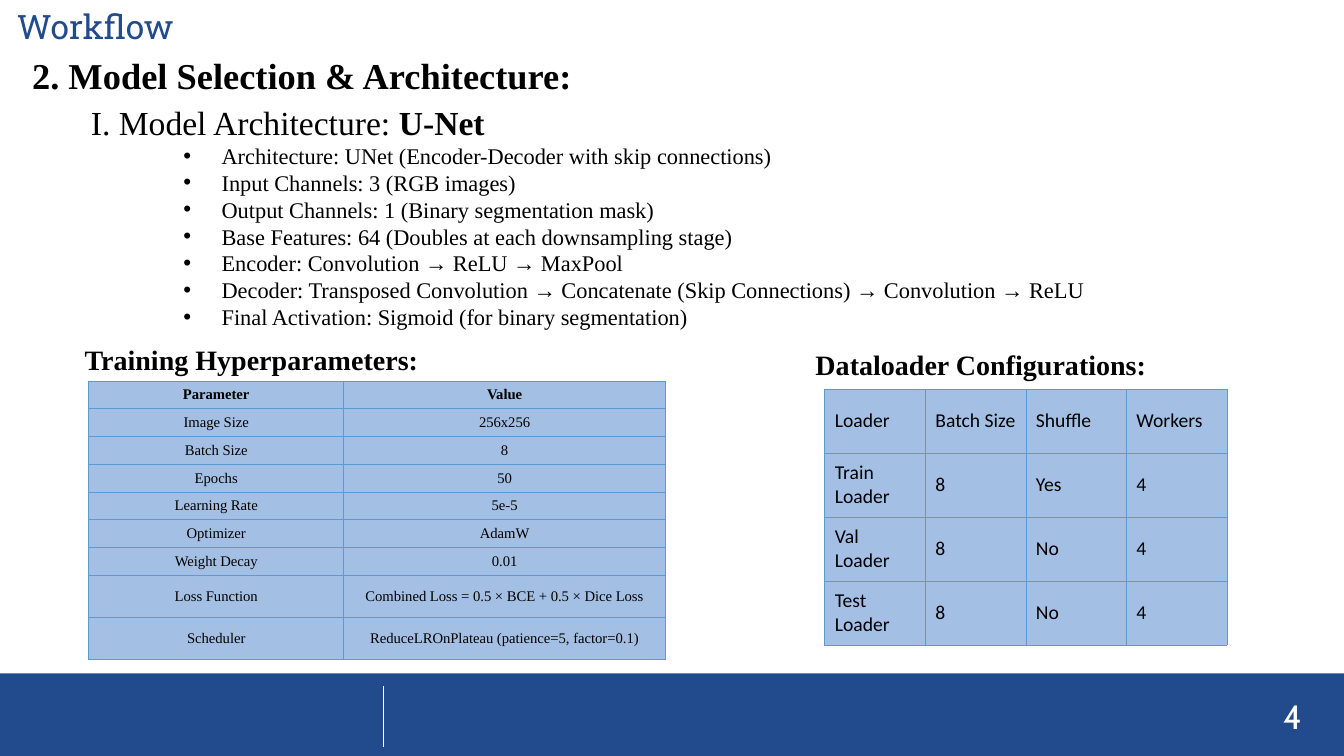
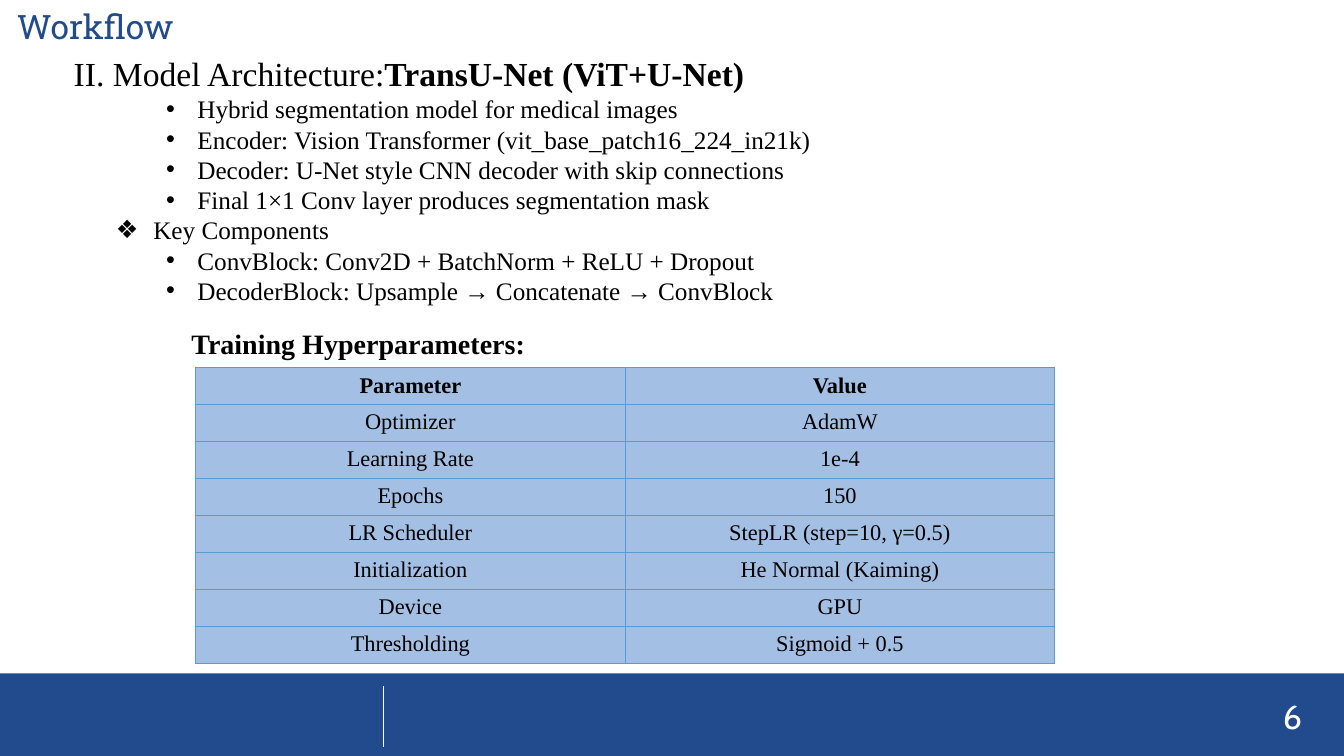
"""Build two workflow slides on model architecture and training settings."""
from lxml.etree import SubElement
from pptx import Presentation
from pptx.dml.color import RGBColor
from pptx.enum.shapes import MSO_CONNECTOR, MSO_SHAPE
from pptx.enum.text import MSO_ANCHOR, PP_ALIGN
from pptx.oxml.ns import qn
from pptx.util import Inches, Pt

HUES = {"band": "214B8C", "white": "FFFFFF", "ink": "000000",
        "cell": "A3C0E4", "rule": "5B9BD5"}
SERIF = "Times New Roman"
FONTS = {
    "title": {"name": "Roboto Slab", "size": 24, "hue": "band"},
    "page": {"name": "Cabin", "size": 24, "hue": "white"},
    "head": {"name": SERIF, "size": 26, "bold": True},
    "model": {"name": SERIF, "size": 24},
    "label": {"name": SERIF, "size": 20, "bold": True},
    "small": {"name": SERIF, "size": 16},
    "large": {"name": SERIF, "size": 18},
    "fine": {"name": SERIF, "size": 10.5},
    "plain": {"name": "Calibri", "size": 14},
}
DOT, GEM = "•", "❖"

SLIDES = [
    {
        "page": "4",
        "labels": [
            ("2. Model Selection & Architecture:", "head", (0.22, 0.48, 12.76, 0.54)),
            ("Training Hyperparameters:", "label", (0.74, 3.35, 3.8, 0.44)),
            ("Dataloader Configurations:", "label", (7.99, 3.4, 4.5, 0.44)),
        ],
        "model": {
            "box": (0.72, 0.96, 12.46, 2.39),
            "head": (" I. Model Architecture: ", "U-Net"),
            "font": "small",
            "marks": {DOT: (1.38, 0.38)},
            "points": [
                (DOT, "Architecture: UNet (Encoder-Decoder with skip connections)"),
                (DOT, "Input Channels: 3 (RGB images)"),
                (DOT, "Output Channels: 1 (Binary segmentation mask)"),
                (DOT, "Base Features: 64 (Doubles at each downsampling stage)"),
                (DOT, "Encoder: Convolution → ReLU → MaxPool"),
                (DOT, "Decoder: Transposed Convolution → Concatenate "
                      "(Skip Connections) → Convolution → ReLU"),
                (DOT, "Final Activation: Sigmoid (for binary segmentation)"),
            ],
        },
        "tables": [
            {
                "box": (0.88, 3.78, 5.72, 2.76), "cols": (2.53, 3.19),
                "tall": {7: 0.42, 8: 0.42},
                "font": "fine", "align": PP_ALIGN.CENTER, "bold": True,
                "rows": [
                    ("Parameter", "Value"),
                    ("Image Size", "256x256"),
                    ("Batch Size", "8"),
                    ("Epochs", "50"),
                    ("Learning Rate", "5e-5"),
                    ("Optimizer", "AdamW"),
                    ("Weight Decay", "0.01"),
                    ("Loss Function", "Combined Loss = 0.5 × BCE + 0.5 × Dice Loss"),
                    ("Scheduler", "ReduceLROnPlateau (patience=5, factor=0.1)"),
                ],
            },
            {
                "box": (8.18, 3.86, 3.99, 2.54), "cols": (1, 1, 1, 1), "tall": {},
                "font": "plain", "align": PP_ALIGN.LEFT, "bold": False,
                "rows": [
                    ("Loader", "Batch Size", "Shuffle", "Workers"),
                    ("Train Loader", "8", "Yes", "4"),
                    ("Val Loader", "8", "No", "4"),
                    ("Test Loader", "8", "No", "4"),
                ],
            },
        ],
    },
    {
        "page": "6",
        "labels": [("Training Hyperparameters:", "label", (1.8, 3.19, 3.8, 0.44))],
        "model": {
            "box": (0.55, 0.48, 12.46, 2.65),
            "head": (" II. Model Architecture:", "TransU-Net (ViT+U-Net)"),
            "font": "large",
            "marks": {DOT: (1.31, 0.31), GEM: (0.81, 0.31)},
            "points": [
                (DOT, "Hybrid segmentation model for medical images"),
                (DOT, "Encoder: Vision Transformer (vit_base_patch16_224_in21k)"),
                (DOT, "Decoder: U-Net style CNN decoder with skip connections"),
                (DOT, "Final 1×1 Conv layer produces segmentation mask"),
                (GEM, " Key Components"),
                (DOT, "ConvBlock: Conv2D + BatchNorm + ReLU + Dropout"),
                (DOT, "DecoderBlock: Upsample → Concatenate → ConvBlock"),
            ],
        },
        "tables": [
            {
                "box": (1.94, 3.64, 8.52, 2.93), "cols": (1, 1), "tall": {},
                "font": "small", "align": PP_ALIGN.CENTER, "bold": True,
                "rows": [
                    ("Parameter", "Value"),
                    ("Optimizer", "AdamW"),
                    ("Learning Rate", "1e-4"),
                    ("Epochs", "150"),
                    ("LR Scheduler", "StepLR (step=10, γ=0.5)"),
                    ("Initialization", "He Normal (Kaiming)"),
                    ("Device", "GPU"),
                    ("Thresholding", "Sigmoid + 0.5"),
                ],
            },
        ],
    },
]


def tint(hue):
    return RGBColor.from_string(HUES[hue])


def place(box):
    return [Inches(side) for side in box]


def write(para, text, font, **extra):
    run = para.add_run()
    run.text = text
    form = {"bold": False, "hue": "ink", **FONTS[font], **extra}
    run.font.color.rgb = tint(form.pop("hue"))
    form["size"] = Pt(form["size"])
    for key, value in form.items():
        setattr(run.font, key, value)


def add_box(slide, box, anchor=MSO_ANCHOR.TOP):
    frame = slide.shapes.add_textbox(*place(box)).text_frame
    frame.word_wrap = True
    frame.vertical_anchor = anchor
    return frame


def add_frame(slide, page):
    band = slide.shapes.add_shape(MSO_SHAPE.RECTANGLE, *place((0, 6.68, 13.33, 0.82)))
    band.shadow.inherit = False
    band.fill.solid()
    band.fill.fore_color.rgb = tint("band")
    band.line.fill.background()
    line = slide.shapes.add_connector(MSO_CONNECTOR.STRAIGHT,
                                      *place((3.8, 6.81, 3.8, 7.41)))
    line.line.color.rgb = tint("white")
    line.line.width = Pt(0.5)
    SubElement(line._element.spPr, qn("a:effectLst"))
    title = add_box(slide, (0.07, 0.08, 2.1, 0.4), MSO_ANCHOR.MIDDLE).paragraphs[0]
    title.line_spacing = 0.9
    write(title, "Workflow", "title")
    number = add_box(slide, (11.34, 6.9, 1.67, 0.4), MSO_ANCHOR.MIDDLE).paragraphs[0]
    number.alignment = PP_ALIGN.RIGHT
    write(number, page, "page")


def add_mark(para, mark, left, hang):
    props = para._p.get_or_add_pPr()
    props.set("marL", str(Inches(left)))
    props.set("indent", str(-Inches(hang)))
    SubElement(props, qn("a:buFont"), typeface="Arial")
    SubElement(props, qn("a:buChar"), char=mark)


def add_model(slide, model):
    frame = add_box(slide, model["box"])
    lead, name = model["head"]
    write(frame.paragraphs[0], lead, "model")
    write(frame.paragraphs[0], name, "model", bold=True)
    for mark, text in model["points"]:
        para = frame.add_paragraph()
        para.level = 2 if mark == DOT else 1
        add_mark(para, mark, *model["marks"][mark])
        write(para, text, model["font"])


def add_rules(cell):
    props = cell._tc.get_or_add_tcPr()
    for side in "LRTB":
        rule = SubElement(props, qn(f"a:ln{side}"), w=str(Pt(0.5)))
        fill = SubElement(rule, qn("a:solidFill"))
        SubElement(fill, qn("a:srgbClr"), val=HUES["rule"])


def add_grid(slide, data):
    rows, cols, tall = data["rows"], data["cols"], data["tall"]
    wide, high = data["box"][2:]
    grid = slide.shapes.add_table(len(rows), len(cols), *place(data["box"])).table
    grid.first_row = grid.horz_banding = False
    for col, part in zip(grid.columns, cols):
        col.width = Inches(wide * part / sum(cols))
    step = (high - sum(tall.values())) / (len(rows) - len(tall))
    for at, texts in enumerate(rows):
        grid.rows[at].height = Inches(tall.get(at, step))
        for cell, text in zip(grid.rows[at].cells, texts):
            add_rules(cell)
            cell.fill.solid()
            cell.fill.fore_color.rgb = tint("cell")
            cell.vertical_anchor = MSO_ANCHOR.MIDDLE
            para = cell.text_frame.paragraphs[0]
            para.alignment = data["align"]
            write(para, text, data["font"], bold=data["bold"] and at == 0)


def main():
    deck = Presentation()
    deck.slide_width, deck.slide_height = place((13.33, 7.5))
    for data in SLIDES:
        slide = deck.slides.add_slide(deck.slide_layouts[6])
        add_frame(slide, data["page"])
        add_model(slide, data["model"])
        for grid in data["tables"]:
            add_grid(slide, grid)
        for text, font, box in data["labels"]:
            write(add_box(slide, box).paragraphs[0], text, font)
    deck.save("out.pptx")


if __name__ == "__main__":
    main()
